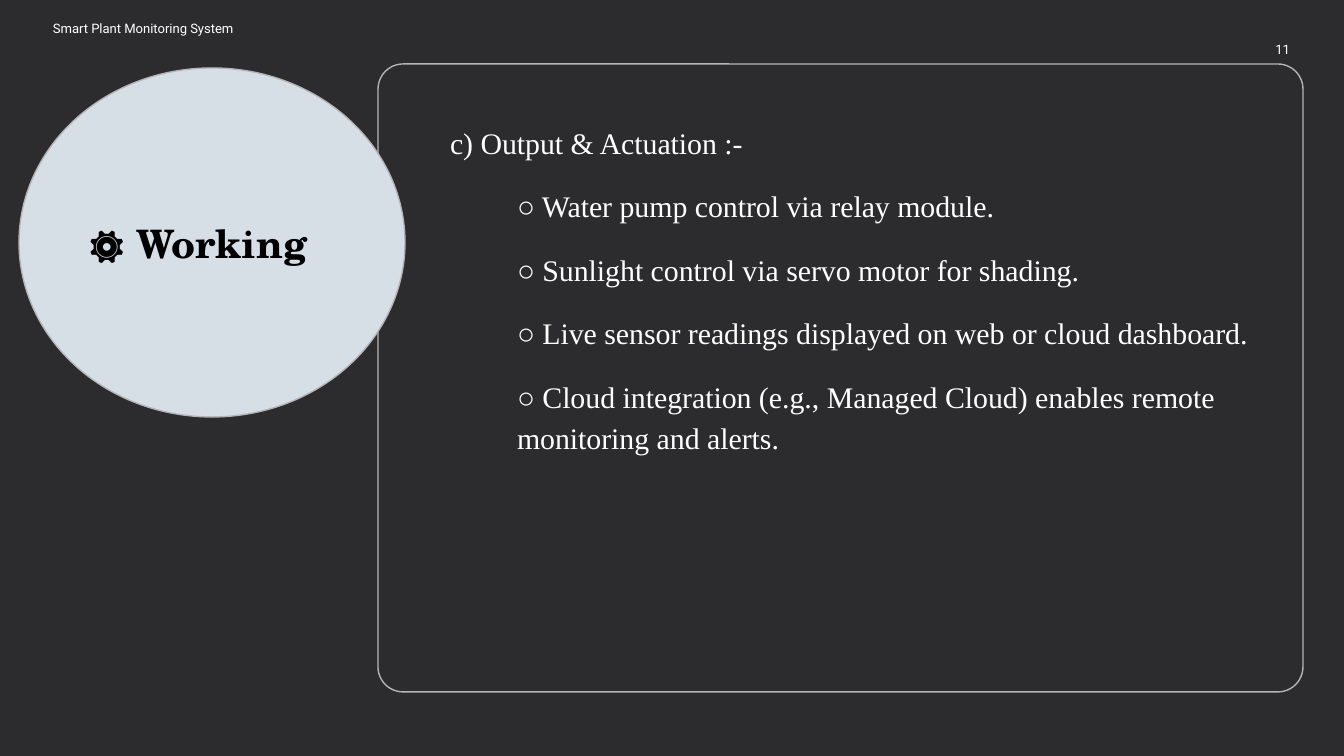
from pptx import Presentation
from pptx.dml.color import RGBColor
from pptx.enum.shapes import MSO_SHAPE as Shape
from pptx.enum.text import MSO_ANCHOR as Anchor, PP_ALIGN as Align
from pptx.util import Pt

EMU_PER_PX = 914400 / 134.4
COLORS = {
    "background": "2C2C2E",
    "outline": "B5B5B7",
    "disc": "D6DEE6",
    "light": "FFFFFF",
    "dark": "000000",
}
HEADING = "c) Output & Actuation :-"
POINTS = [
    "○ Water pump control via relay module.",
    "○ Sunlight control via servo motor for shading.",
    "○ Live sensor readings displayed on web or cloud dashboard.",
    "○ Cloud integration (e.g., Managed Cloud) enables remote monitoring and alerts.",
]


def px(length):
    return round(length * EMU_PER_PX)


def color(name):
    return RGBColor.from_string(COLORS[name])


def add_outlined(page, kind, box, fill=None):
    shape = page.shapes.add_shape(kind, *map(px, box))
    shape.shadow.inherit = False
    if fill:
        shape.fill.solid()
        shape.fill.fore_color.rgb = color(fill)
    else:
        shape.fill.background()
    shape.line.color.rgb = color("outline")
    shape.line.width = Pt(0.75)
    return shape


def set_frame(shape, anchor, inset_x, inset_y):
    frame = shape.text_frame
    frame.word_wrap = True
    frame.vertical_anchor = anchor
    frame.margin_left = frame.margin_right = px(inset_x)
    frame.margin_top = frame.margin_bottom = px(inset_y)
    return frame


def add_span(para, text, font, size, ink="light", bold=False):
    span = para.add_run()
    span.text = text
    span.font.name = font
    span.font.size = Pt(size)
    span.font.bold = bold
    span.font.color.rgb = color(ink)


def add_label(page, box, text, align, spacing=1.0):
    label = page.shapes.add_textbox(*map(px, box))
    para = set_frame(label, Anchor.MIDDLE, 0, 0).paragraphs[0]
    para.alignment = align
    para.line_spacing = spacing
    add_span(para, text, "Roboto", 7)


def add_panel(page, box):
    left, top, width, height = box
    panel = add_outlined(page, Shape.ROUNDED_RECTANGLE, box)
    panel.adjustments[0] = 0.04

    # Heading with its indented points
    body = page.shapes.add_textbox(
        px(left + 59), px(top + 42), px(width - 60), px(height - 119))
    frame = set_frame(body, Anchor.TOP, 13, 13)
    for index, text in enumerate([HEADING] + POINTS):
        para = frame.add_paragraph() if index else frame.paragraphs[0]
        para.line_spacing = 1.15
        if index:
            para.space_before = Pt(12)
            para._p.get_or_add_pPr().set("marL", str(px(67)))
        add_span(para, text, "Times New Roman", 16)


def add_title_disc(page, box):
    disc = add_outlined(page, Shape.OVAL, box, "disc")
    para = set_frame(disc, Anchor.MIDDLE, 13, 13).paragraphs[0]
    para.alignment = Align.LEFT
    add_span(para, "⚙️ Working", "TeX Gyre Schola", 21, "dark", True)


def main():
    deck = Presentation()
    deck.slide_width, deck.slide_height = px(1344), px(756)
    page = deck.slides.add_slide(deck.slide_layouts[6])
    page.background.fill.solid()
    page.background.fill.fore_color.rgb = color("background")

    # Content panel
    add_panel(page, (378, 64, 925, 628))
    # Page number and running header
    add_label(page, (1210, 32, 80, 35), "11", Align.RIGHT)
    add_label(page, (53, 10, 612, 35), "Smart Plant Monitoring System",
              Align.LEFT, 1.15)
    # Title disc over the panel's edge
    add_title_disc(page, (19, 68, 386, 349))
    deck.save("out.pptx")


if __name__ == "__main__":
    main()
